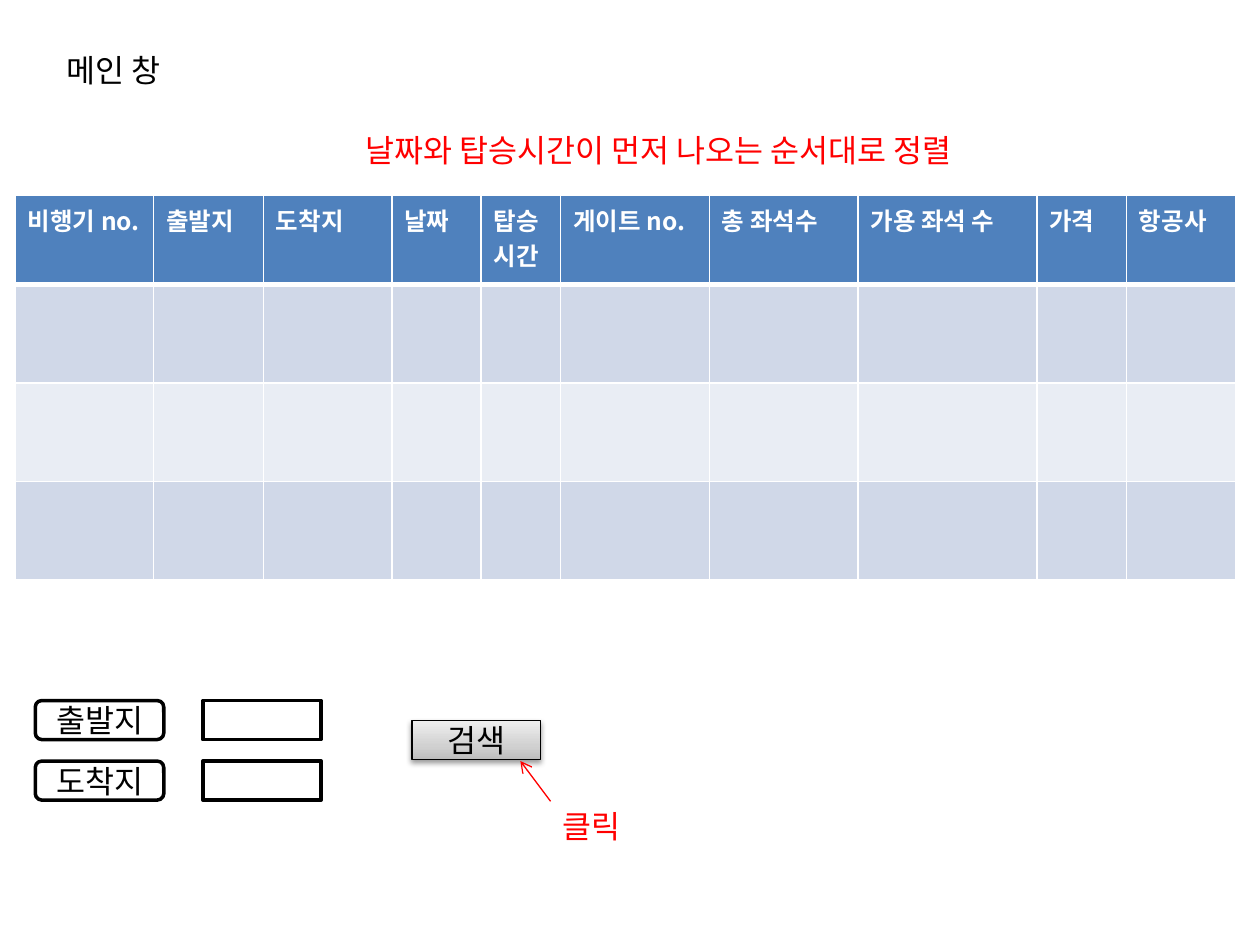
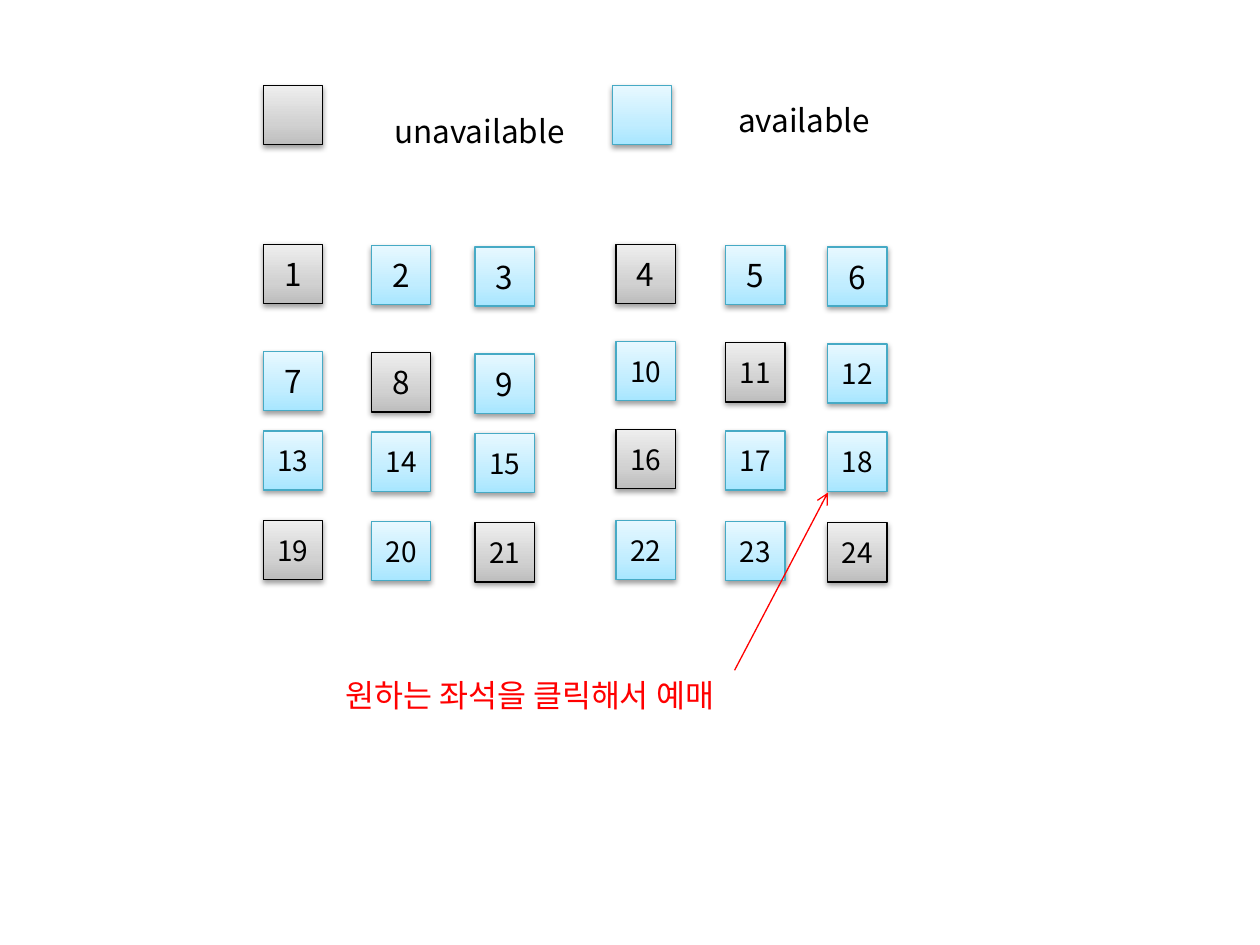
from copy import deepcopy
from dataclasses import dataclass
from typing import Optional

from lxml import etree
from pptx import Presentation
from pptx.dml.color import RGBColor
from pptx.enum.shapes import MSO_CONNECTOR, MSO_SHAPE
from pptx.enum.text import MSO_ANCHOR, MSO_AUTO_SIZE, PP_ALIGN
from pptx.oxml.ns import qn
from pptx.util import Inches, Pt

RECTANGLE = MSO_SHAPE.RECTANGLE
ROUNDED = MSO_SHAPE.ROUNDED_RECTANGLE
STRAIGHT = MSO_CONNECTOR.STRAIGHT
CENTER = PP_ALIGN.CENTER
MIDDLE = MSO_ANCHOR.MIDDLE
GROW = MSO_AUTO_SIZE.SHAPE_TO_FIT_TEXT


@dataclass(frozen=True)
class Gloss:
    """Gradient stops from bottom to top, with the outline colour."""
    stops: tuple
    line: str


@dataclass(frozen=True)
class Theme:
    """Colours, font and type sizes of the deck."""
    font: str = "Noto Sans CJK KR"
    ink: str = "000000"
    note: str = "FF0000"
    paper: str = "FFFFFF"
    header: str = "4F81BD"
    bands: tuple = ("D0D8E8", "E9EDF4")
    gray: Gloss = Gloss(("BDBDBD", "D1D1D1", "EEEEEE"), "000000")
    blue: Gloss = Gloss(("A7E6FF", "C1EDFF", "E7F8FF"), "46AAC5")
    stop_positions: tuple = (0, 0.35, 1)
    body: int = 18
    small: int = 16
    table: int = 14
    thin: float = 0.75
    thick: float = 2


THEME = Theme()


@dataclass(frozen=True)
class Box:
    """A frame in inches."""
    left: float
    top: float
    width: float
    height: float

    def lengths(self) -> tuple:
        """Return the frame as lengths."""
        return tuple(Inches(v) for v in (self.left, self.top, self.width, self.height))


@dataclass(frozen=True)
class Column:
    """A table column."""
    title: str
    width: float


@dataclass(frozen=True)
class SeatBlock:
    """One side of the aisle: column lefts, row tops and first seat number."""
    lefts: tuple
    tops: tuple
    first: int


COLUMNS = (
    Column("비행기 no.", 1.1), Column("출발지", 0.87), Column("도착지", 1.02),
    Column("날짜", 0.71), Column("탑승 시간", 0.63), Column("게이트 no.", 1.18),
    Column("총 좌석수", 1.18), Column("가용 좌석 수", 1.42),
    Column("가격", 0.71), Column("항공사", 0.87),
)
TABLE_BOX = Box(0.12, 1.55, 9.69, 3.15)
HEADER_HEIGHT, ROW_HEIGHT, BODY_ROWS = 0.71, 0.78, 3

SEAT_SIZE = 0.47
SEAT_DRIFT = 0.01
SEATS_PER_ROW = 6
SEAT_BLOCKS = (
    SeatBlock((2.09, 2.95, 3.77), (1.94, 2.79, 3.42, 4.13), 1),
    SeatBlock((4.89, 5.76, 6.57), (1.94, 2.71, 3.41, 4.13), 4),
)
TAKEN_SEATS = {1, 4, 8, 11, 16, 19, 21, 24}


def rgb(color: str) -> RGBColor:
    """Turn a hex string into a colour."""
    return RGBColor.from_string(color)


def write(text_frame, text: str, size: int, color: str, bold: bool = False) -> None:
    """Set the text and format its run."""
    text_frame.text = text
    for run in text_frame.paragraphs[0].runs:
        font = run.font
        font.name, font.size, font.bold = THEME.font, Pt(size), bold
        font.color.rgb = rgb(color)
        east_asian = etree.SubElement(run._r.get_or_add_rPr(), qn("a:ea"))
        east_asian.set("typeface", THEME.font)


def add_label(slide, box: Box, text: str, color: str = THEME.ink) -> None:
    """Add a text box that grows with its text."""
    text_frame = slide.shapes.add_textbox(*box.lengths()).text_frame
    text_frame.word_wrap = True
    text_frame.auto_size = GROW
    write(text_frame, text, THEME.body, color)


def add_block(slide, kind, box: Box, text: str, line: str, weight: float,
              size: int = THEME.body):
    """Add an outlined shape with centred text and no fill."""
    shape = slide.shapes.add_shape(kind, *box.lengths())
    shape.shadow.inherit = False
    shape.fill.background()
    shape.line.color.rgb = rgb(line)
    shape.line.width = Pt(weight)
    if text:
        write(shape.text_frame, text, size, THEME.ink)
        shape.text_frame.vertical_anchor = MIDDLE
        shape.text_frame.paragraphs[0].alignment = CENTER
    return shape


def add_button(slide, box: Box, gloss: Gloss, text: str = "",
               size: int = THEME.body) -> None:
    """Add a glossy rectangle with a soft shadow below."""
    shape = add_block(slide, RECTANGLE, box, text, gloss.line, THEME.thin, size)
    shape.fill.gradient()
    shape.fill.gradient_angle = 90
    properties = shape._element.spPr
    stop_list = properties.find(".//" + qn("a:gsLst"))
    stop_list.insert(1, deepcopy(stop_list[0]))
    for stop, position, color in zip(shape.fill.gradient_stops,
                                     THEME.stop_positions, gloss.stops):
        stop.position = position
        stop.color.rgb = rgb(color)
    shadow = etree.SubElement(properties.find(qn("a:effectLst")), qn("a:outerShdw"),
                              blurRad="40000", dist="20000", dir="5400000",
                              rotWithShape="0")
    color = etree.SubElement(shadow, qn("a:srgbClr"), val=THEME.ink)
    etree.SubElement(color, qn("a:alpha"), val="38000")


def add_arrow(slide, start: tuple, end: tuple) -> None:
    """Add a thin note-coloured arrow pointing at its end."""
    points = (Inches(v) for v in start + end)
    connector = slide.shapes.add_connector(STRAIGHT, *points)
    connector.line.color.rgb = rgb(THEME.note)
    connector.line.width = Pt(THEME.thin)
    properties = connector._element.spPr
    etree.SubElement(properties.find(qn("a:ln")), qn("a:tailEnd"), type="arrow")
    etree.SubElement(properties, qn("a:effectLst"))


def style_cell(cell, fill: str, bottom: float = 1, title: Optional[str] = None) -> None:
    """Give a cell its borders, fill and optional heading."""
    properties = cell._tc.get_or_add_tcPr()
    for side, weight in (("L", 1), ("R", 1), ("T", 1), ("B", bottom)):
        line = etree.SubElement(properties, qn("a:ln" + side), w=str(Pt(weight)))
        paint = etree.SubElement(line, qn("a:solidFill"))
        etree.SubElement(paint, qn("a:srgbClr"), val=THEME.paper)
    cell.fill.solid()
    cell.fill.fore_color.rgb = rgb(fill)
    if title:
        write(cell.text_frame, title, THEME.table, THEME.paper, bold=True)


def add_flight_table(slide) -> None:
    """Add the flight list with its header and empty rows."""
    frame = slide.shapes.add_table(BODY_ROWS + 1, len(COLUMNS), *TABLE_BOX.lengths())
    table = frame.table
    for index, column in enumerate(COLUMNS):
        table.columns[index].width = Inches(column.width)
        style_cell(table.cell(0, index), THEME.header, 3, column.title)
        for row in range(BODY_ROWS):
            style_cell(table.cell(row + 1, index), THEME.bands[row % 2],)
    for index, row in enumerate(table.rows):
        row.height = Inches(ROW_HEIGHT if index else HEADER_HEIGHT)
    frame.height = Inches(TABLE_BOX.height)


def build_main_window(slide) -> None:
    """Draw the flight list and its search form."""
    add_label(slide, Box(0.43, 0.36, 2.05, 0.4), "메인 창")
    add_flight_table(slide)
    add_button(slide, Box(3.27, 5.72, 1.02, 0.31), THEME.gray, "검색")
    for top, caption in ((5.56, "출발지"), (6.04, "도착지")):
        field = add_block(slide, ROUNDED, Box(0.28, top, 1.02, 0.31), caption,
                          THEME.ink, THEME.thick)
        field.fill.solid()
        field.fill.fore_color.rgb = rgb(THEME.paper)
        add_block(slide, RECTANGLE, Box(1.61, top, 0.94, 0.31), "",
                  THEME.ink, THEME.thick)
    add_label(slide, Box(4.37, 6.36, 0.94, 0.4), "클릭", THEME.note)
    add_arrow(slide, (4.37, 6.36), (4.13, 6.04))
    add_label(slide, Box(2.8, 0.99, 6.46, 0.4),
              "날짜와 탑승시간이 먼저 나오는 순서대로 정렬", THEME.note)


def add_seats(slide, block: SeatBlock) -> None:
    """Draw the numbered seats on one side of the aisle."""
    for row, top in enumerate(block.tops):
        for column, left in enumerate(block.lefts):
            number = block.first + row * SEATS_PER_ROW + column
            box = Box(left, top + column * SEAT_DRIFT, SEAT_SIZE, SEAT_SIZE)
            gloss = THEME.gray if number in TAKEN_SEATS else THEME.blue
            size = THEME.body if number < 10 else THEME.small
            add_button(slide, box, gloss, str(number), size)


def build_seat_map(slide) -> None:
    """Draw the seat map, its legend and the booking hint."""
    for block in SEAT_BLOCKS:
        add_seats(slide, block)
    for left, gloss in ((2.09, THEME.gray), (4.86, THEME.blue)):
        add_button(slide, Box(left, 0.68, SEAT_SIZE, SEAT_SIZE), gloss)
    add_label(slide, Box(3.03, 0.84, 1.73, 0.4), "unavailable")
    add_label(slide, Box(5.76, 0.75, 1.73, 0.4), "available")
    add_label(slide, Box(2.64, 5.32, 6.38, 0.4), "원하는 좌석을 클릭해서 예매", THEME.note)
    add_arrow(slide, (5.83, 5.32), (6.57, 3.91))


def main() -> None:
    """Build and save the deck."""
    presentation = Presentation()
    presentation.slide_width, presentation.slide_height = Inches(10), Inches(7.5)
    blank = presentation.slide_layouts[6]
    for build in (build_main_window, build_seat_map):
        build(presentation.slides.add_slide(blank))
    presentation.save("out.pptx")


main()
